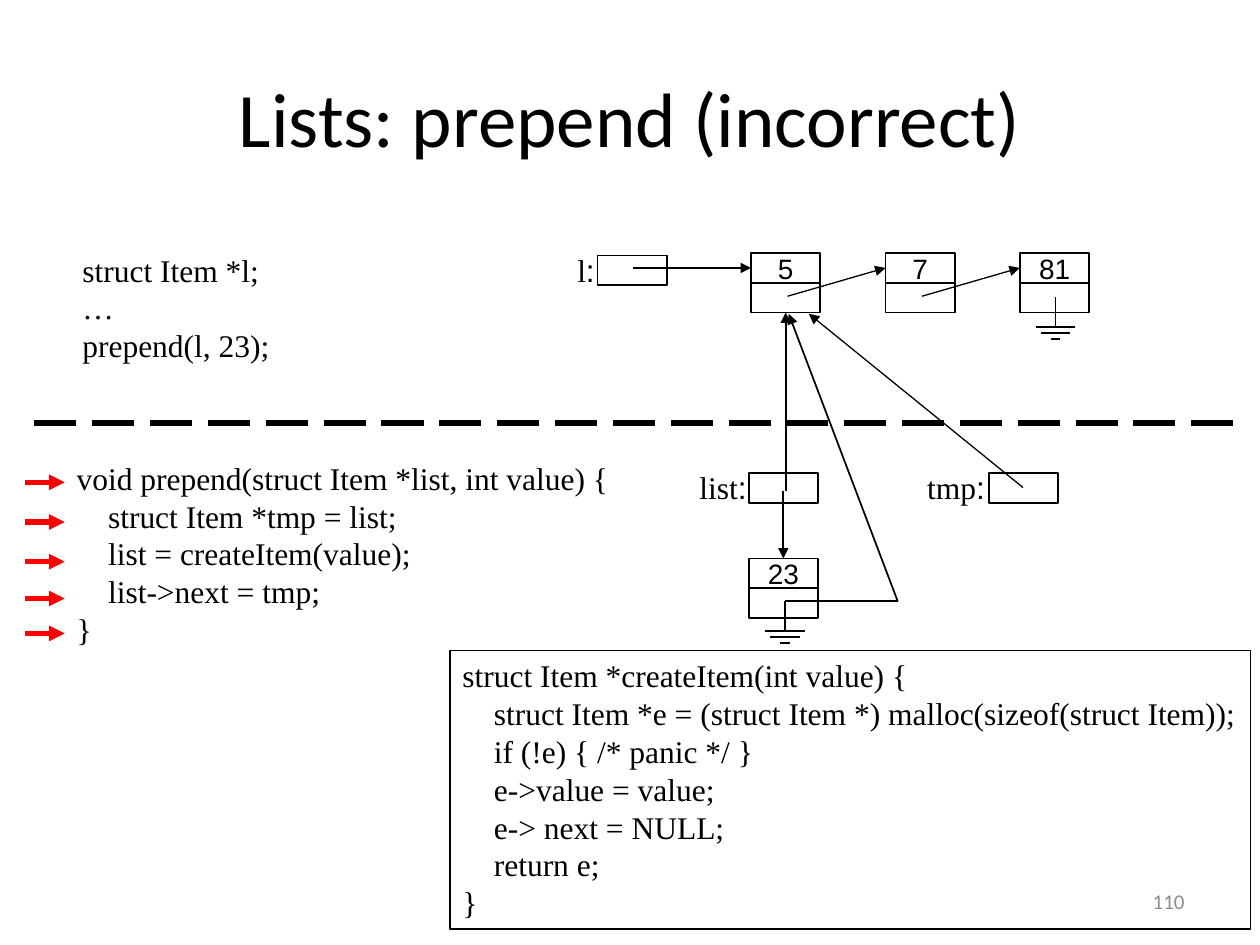
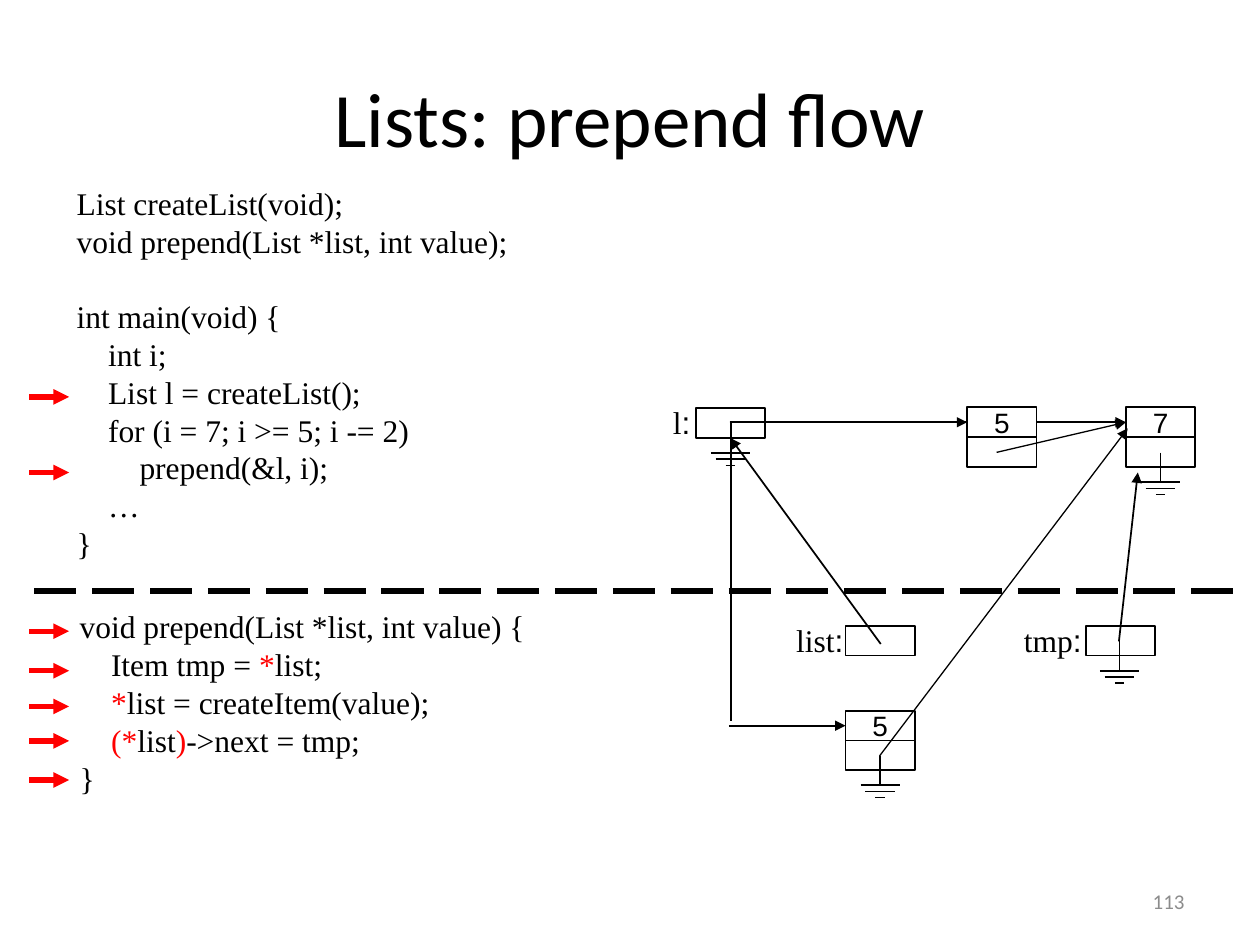
from dataclasses import dataclass

from pptx import Presentation
from pptx.dml.color import RGBColor
from pptx.enum.dml import MSO_LINE
from pptx.enum.shapes import MSO_CONNECTOR, MSO_SHAPE
from pptx.enum.text import MSO_ANCHOR, MSO_AUTO_SIZE, PP_ALIGN
from pptx.oxml.ns import qn
from pptx.util import Pt
from lxml.etree import SubElement


@dataclass(frozen=True)
class Theme:
    """Colours, fonts, type sizes and line widths of the deck."""
    ink: RGBColor = RGBColor(0, 0, 0)
    paper: RGBColor = RGBColor(255, 255, 255)
    mark: RGBColor = RGBColor(255, 0, 0)
    pale: RGBColor = RGBColor(0x8C, 0x8C, 0x8C)
    head: str = "Calibri"
    code: str = "Times New Roman"
    cell: str = "Arial"
    big: int = 44
    body: int = 18
    small: int = 16
    foot: int = 12
    thin: float = 0.75
    line: float = 1
    thick: float = 3


T = Theme()
WIDE, HIGH = 39.6, 17
LABELS = {"l": 24.5, "list": 41.8, "tmp": 47.5}
PROTO = ("List createList(void);", "void prepend(List *list, int value);")
MAIN = (
    "int main(void) {",
    "    int i;",
    "    List l = createList();",
    "    for (i = 7; i >= 5; i -= 2)",
    "        prepend(&l, i);",
    "    …",
    "}",
)
CREATE = (
    "struct Item *createItem(int value) {",
    "    struct Item *e = (struct Item *) malloc(sizeof(struct Item));",
    "    if (!e) { /* panic */ }",
    "    e->value = value;",
    "    e-> next = NULL;",
    "    return e;",
    "}",
)
WRONG = (
    "void prepend(struct Item *list, int value) {",
    "    struct Item *tmp = list;",
    "    list = createItem(value);",
    "    list->next = tmp;",
    "}",
)
RIGHT = (
    "void prepend(List *list, int value) {",
    "    Item tmp = |*|list;",
    "    |*|list = createItem(value);",
    "    |(*|list|)|->next = tmp;",
    "}",
)


def put(item, **values):
    """Set each named attribute of an item."""
    for name, value in values.items():
        setattr(item, name, value)


def style(font, name, size, color):
    """Give a font its face, size and colour."""
    put(font, name=name, size=Pt(size))
    font.color.rgb = color


def write(para, text, name, size, color):
    """Add a styled run to a paragraph."""
    run = para.add_run()
    run.text = text
    style(run.font, name, size, color)


def wire(slide, start, end, width=T.line, color=T.ink, arrow=True, join=None):
    """Draw a line, with its end joined to a (shape, side) if given."""
    ends = [Pt(value) for value in (*start, *end)]
    link = slide.shapes.add_connector(MSO_CONNECTOR.STRAIGHT, *ends)
    put(link.line, width=Pt(width))
    link.line.color.rgb = color
    if arrow:
        SubElement(link.line._get_or_add_ln(), qn("a:tailEnd"), type="triangle")
    SubElement(link._element.spPr, qn("a:effectLst"))
    if join:
        link.end_connect(*join)
    return link


def cell(slide, left, top, text=""):
    """Draw one memory cell with an optional value."""
    size = [Pt(value) for value in (left, top, WIDE, HIGH)]
    box = slide.shapes.add_shape(MSO_SHAPE.RECTANGLE, *size)
    box.shadow.inherit = False
    box.fill.solid()
    box.fill.fore_color.rgb = T.paper
    box.line.color.rgb = T.ink
    box.line.width = Pt(T.line)
    if text:
        put(box.text_frame, word_wrap=False, vertical_anchor=MSO_ANCHOR.MIDDLE)
        para = box.text_frame.paragraphs[0]
        para.alignment = PP_ALIGN.CENTER
        write(para, text, T.cell, T.small, T.ink)
    return box


def node(slide, left, top, value):
    """Stack a value cell on a pointer cell."""
    return cell(slide, left, top, value), cell(slide, left, top + HIGH)


def area(slide, left, top, wide, high):
    """Add an unwrapped text box."""
    size = [Pt(value) for value in (left, top, wide, high)]
    box = slide.shapes.add_textbox(*size)
    put(box.text_frame, word_wrap=False, auto_size=MSO_AUTO_SIZE.SHAPE_TO_FIT_TEXT)
    return box


def slot(slide, name, gap, left, top):
    """Draw a named pointer cell, its label starting a gap to the left."""
    box = cell(slide, left, top)
    label = area(slide, left - gap, top - 6.3, LABELS[name], 28.8)
    para = label.text_frame.paragraphs[0]
    write(para, name, T.code, T.body, T.ink)
    write(para, ":", T.cell, T.body, T.ink)
    return box


def ground(slide, x, y):
    """Draw the null symbol hanging from a point."""
    wire(slide, (x, y), (x, y + HIGH), arrow=False)
    for step, half in enumerate((11.25, 8.5, 2.75)):
        level = y + HIGH + 3.5 * step
        wire(slide, (x - half, level), (x + half, level), arrow=False)


def code(slide, lines, left, top, wide, high, gaps=()):
    """Write code lines; bars enclose marked parts, gaps name spaced lines."""
    box = area(slide, left, top, wide, high)
    frame = box.text_frame
    for row, line in enumerate(lines):
        para = frame.add_paragraph() if row else frame.paragraphs[0]
        if row in gaps:
            para.space_before = Pt(21.6)
        for turn, part in enumerate(line.split("|")):
            write(para, part, T.code, T.body, T.mark if turn % 2 else T.ink)
    return box


def steps(slide, left, levels):
    """Point a marker arrow at each level."""
    for level in levels:
        wire(slide, (left, level), (left + 22.8, level), T.thick, T.mark)


def split(slide, level):
    """Draw the dashed line between caller and function."""
    rule = wire(slide, (19.7, level), (711.5, level), T.thick, arrow=False)
    rule.line.dash_style = MSO_LINE.LONG_DASH


def start(deck, title):
    """Add a slide with its title."""
    slide = deck.slides.add_slide(deck.slide_layouts[5])
    head = slide.shapes.title
    put(head, left=Pt(36), top=Pt(21.6), width=Pt(648), height=Pt(90))
    head.text_frame.vertical_anchor = MSO_ANCHOR.MIDDLE
    para = head.text_frame.paragraphs[0]
    para.alignment = PP_ALIGN.CENTER
    write(para, title, T.head, T.big, T.ink)
    return slide


def number(slide, text):
    """Write the page number."""
    box = area(slide, 516, 500.5, 168, 28.8)
    put(box.text_frame, word_wrap=True, auto_size=MSO_AUTO_SIZE.NONE,
        vertical_anchor=MSO_ANCHOR.MIDDLE)
    para = box.text_frame.paragraphs[0]
    para.alignment = PP_ALIGN.RIGHT
    write(para, text, T.head, T.foot, T.pale)


def chain(slide, left, top):
    """Draw the linked items 5, 7 and 81 and return the first."""
    pitch = 76.8
    items = [node(slide, left + pitch * i, top, value)
             for i, value in enumerate(("5", "7", "81"))]
    for i, item in enumerate(items[1:]):
        x = left + pitch * i
        wire(slide, (x + 20.8, top + 24.7), (x + pitch, top + 8), T.thin,
             join=(item[0], 1))
    ground(slide, left + pitch * 2 + 20.3, top + 25.3)
    return items[0]


def wrong(deck):
    """Build the slide on the incorrect prepend."""
    slide = start(deck, "Lists: prepend (incorrect)")
    code(slide, ("struct Item *l;", "…", "prepend(l, 23);"), 40, 139.7, 121.7, 72)
    code(slide, WRONG, 36.7, 258.7, 319, 115.2)
    first = chain(slide, 429.2, 144.6)
    slot(slide, "l", 18.7, 341.5, 146)
    slot(slide, "list", 35.3, 427.8, 270.5)
    slot(slide, "tmp", 42.5, 565.2, 270.5)
    fresh = node(slide, 427.8, 319.2, "23")
    wire(slide, (362, 153.1), (429.2, 153.1), join=(first[0], 1))
    wire(slide, (449, 280.5), (449, 178.6), join=(first[1], 2))
    wire(slide, (447.6, 280.5), (447.6, 319.2), join=(fresh[0], 0))
    wire(slide, (584.6, 278.6), (462.2, 179.3), T.thin)
    wire(slide, (448.6, 343.6), (513, 343.6), arrow=False)
    wire(slide, (513, 343.6), (450.7, 179.3))
    ground(slide, 448.6, 343.6)
    split(slide, 241.7)
    steps(slide, 14.2, (275.6, 298.3, 321, 342, 362))
    box = code(slide, CREATE, 257.2, 371.6, 457.5, 159.3)
    box.line.color.rgb = T.ink
    box.line.width = Pt(T.thin)
    number(slide, "110")


def flow(deck):
    """Build the slide on the flow of prepend."""
    slide = start(deck, "Lists: prepend flow")
    code(slide, PROTO + MAIN, 36.7, 101.5, 266, 223.2, gaps=(len(PROTO),))
    code(slide, RIGHT, 38.4, 343.6, 269.3, 115.2)
    split(slide, 337.8)
    root = slot(slide, "l", 20.2, 397.6, 233.3)
    slot(slide, "list", 35.3, 483.2, 357.6)
    slot(slide, "tmp", 42.5, 620.5, 357.6)
    last = node(slide, 643.4, 232.8, "7")
    wire(slide, (417, 241.3), (643.4, 241.3), join=(last[0], 1))
    first = node(slide, 552.7, 232.8, "5")
    fresh = node(slide, 483.2, 406.2, "5")
    wire(slide, (417, 241.3), (552.7, 241.3), T.thin, join=(first[0], 1))
    wire(slide, (569.5, 258.5), (643.4, 241.3), T.thin, join=(last[0], 1))
    wire(slide, (503.3, 368), (417.4, 250.3), join=(root, 2))
    wire(slide, (417.6, 241.3), (417.6, 412), arrow=False)
    wire(slide, (416.5, 414.7), (483.2, 414.7), join=(fresh[0], 1))
    wire(slide, (502.6, 432), (644.4, 244.8), T.thin)
    wire(slide, (639.4, 366.5), (650.2, 270))
    for spot in ((417.4, 242), (639.8, 366.3), (663.2, 258.6), (503, 431.8)):
        ground(slide, *spot)
    steps(slide, 16.7, (226.8, 270, 360.7, 383.3, 403.7, 423.4, 445.7))
    number(slide, "113")


def main():
    """Build and save the deck."""
    deck = Presentation()
    put(deck, slide_width=Pt(720), slide_height=Pt(540))
    wrong(deck)
    flow(deck)
    deck.save("out.pptx")


if __name__ == "__main__":
    main()
